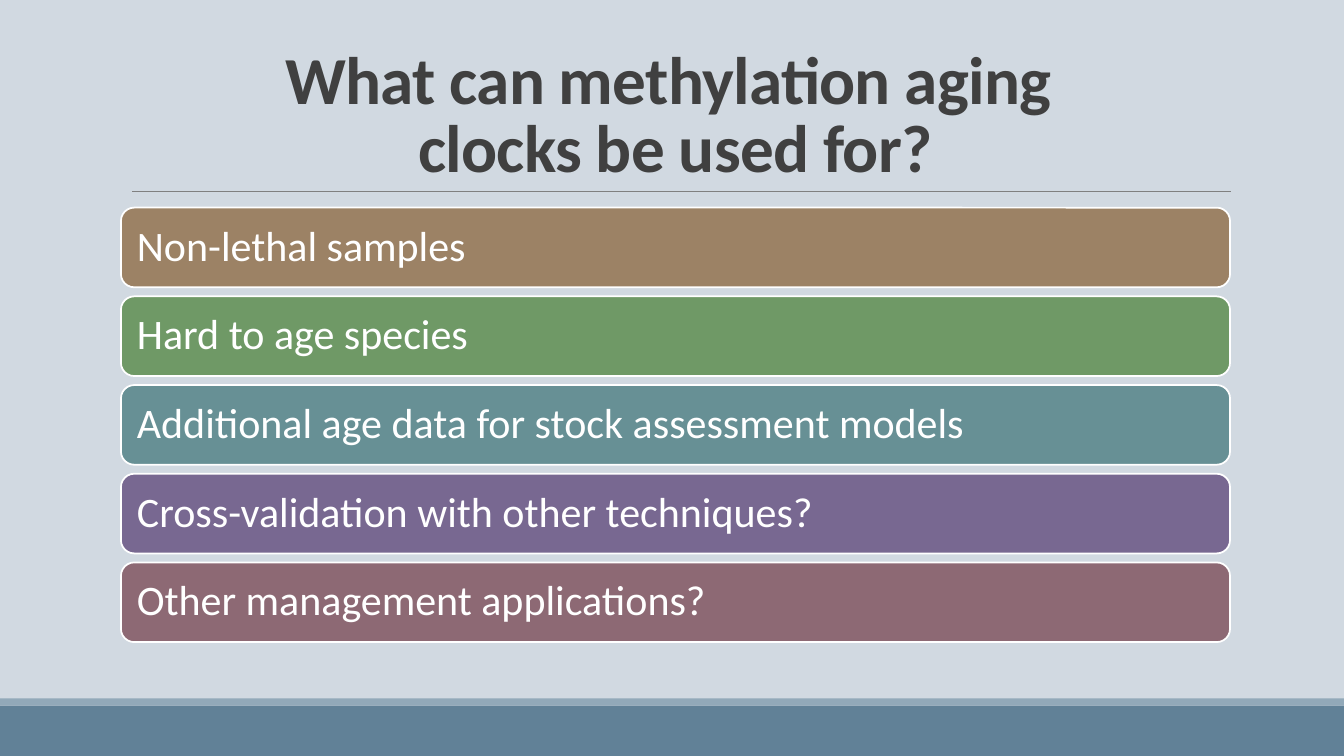
"""Build the slide on uses of methylation aging clocks."""
from lxml import etree
from pptx import Presentation
from pptx.dml.color import RGBColor
from pptx.enum import shapes, text
from pptx.oxml import ns
from pptx.util import Inches, Pt

COLORS = {
    "background": "D1D9E1", "footer": "618197", "stripe": "92A9B9",
    "rule": "808080", "title": "404040", "white": "FFFFFF",
    "brown": "9C8265", "green": "6F9966", "teal": "679095",
    "purple": "786891", "rose": "8D6974",
}
USES = [
    ("Non-lethal samples", "brown"),
    ("Hard to age species", "green"),
    ("Additional age data for stock assessment models", "teal"),
    ("Cross-validation with other techniques?", "purple"),
    ("Other management applications?", "rose"),
]
BAR_LEFT, BAR_TOP, BAR_WIDTH, BAR_HEIGHT, BAR_STEP = 1.2, 2.06, 11, 0.79, 0.88
BAR_INSET = Inches(0.12)


def color(name):
    return RGBColor.from_string(COLORS[name])


def apply(target, values):
    for name, value in values.items():
        setattr(target, name, value)


def format_text(frame, ink, frame_values, para_values, font_values):
    apply(frame, {"word_wrap": True, "auto_size": text.MSO_AUTO_SIZE.NONE, **frame_values})
    para = frame.paragraphs[0]
    apply(para, para_values)
    for span in para.runs:
        apply(span.font, {"name": "Calibri", **font_values})
        span.font.color.rgb = color(ink)


def add_block(page, kind, fill, left, top, width, height):
    block = page.shapes.add_shape(
        kind, Inches(left), Inches(top), Inches(width), Inches(height))
    block.shadow.inherit = False
    block.fill.solid()
    block.fill.fore_color.rgb = color(fill)
    block.line.fill.background()
    return block


def add_rule(page, left, right, top):
    rule = page.shapes.add_connector(
        shapes.MSO_CONNECTOR.STRAIGHT,
        Inches(left), Inches(top), Inches(right), Inches(top))
    rule.line.color.rgb = color("rule")
    rule.line.width = Pt(0.5)
    etree.SubElement(rule._element.spPr, ns.qn("a:effectLst"))


def add_title(page, wording):
    title = page.shapes.title
    apply(title, {"left": Inches(1.2), "top": Inches(0.31),
                  "width": Inches(11), "height": Inches(1.59)})
    title.text_frame.text = wording
    format_text(
        title.text_frame, "title",
        {"vertical_anchor": text.MSO_ANCHOR.BOTTOM},
        {"alignment": text.PP_ALIGN.CENTER, "line_spacing": 0.85},
        {"size": Pt(48), "bold": True})
    for span in title.text_frame.paragraphs[0].runs:
        span.font._element.set("spc", "-50")


def add_bar(page, wording, fill, top):
    bar = add_block(page, shapes.MSO_SHAPE.ROUNDED_RECTANGLE, fill,
                    BAR_LEFT, top, BAR_WIDTH, BAR_HEIGHT)
    bar.line.color.rgb = color("white")
    bar.line.width = Pt(1.25)
    bar.text_frame.text = wording
    format_text(
        bar.text_frame, "white",
        {"vertical_anchor": text.MSO_ANCHOR.MIDDLE,
         "margin_left": BAR_INSET, "margin_right": BAR_INSET,
         "margin_top": BAR_INSET, "margin_bottom": BAR_INSET},
        {"alignment": text.PP_ALIGN.LEFT, "line_spacing": 0.9},
        {"size": Pt(30)})


def main():
    deck = Presentation()
    apply(deck, {"slide_width": Inches(13.33), "slide_height": Inches(7.5)})
    page = deck.slides.add_slide(deck.slide_layouts.get_by_name("Title Only"))
    page.background.fill.solid()
    page.background.fill.fore_color.rgb = color("background")
    add_block(page, shapes.MSO_SHAPE.RECTANGLE, "footer", 0, 7, 13.33, 0.5)
    add_block(page, shapes.MSO_SHAPE.RECTANGLE, "stripe", 0, 6.93, 13.33, 0.07)
    add_rule(page, 1.31, 12.21, 1.9)
    add_title(page, "What can methylation aging \vclocks be used for?")
    for index, (wording, fill) in enumerate(USES):
        add_bar(page, wording, fill, BAR_TOP + index * BAR_STEP)
    deck.save("out.pptx")


if __name__ == "__main__":
    main()
